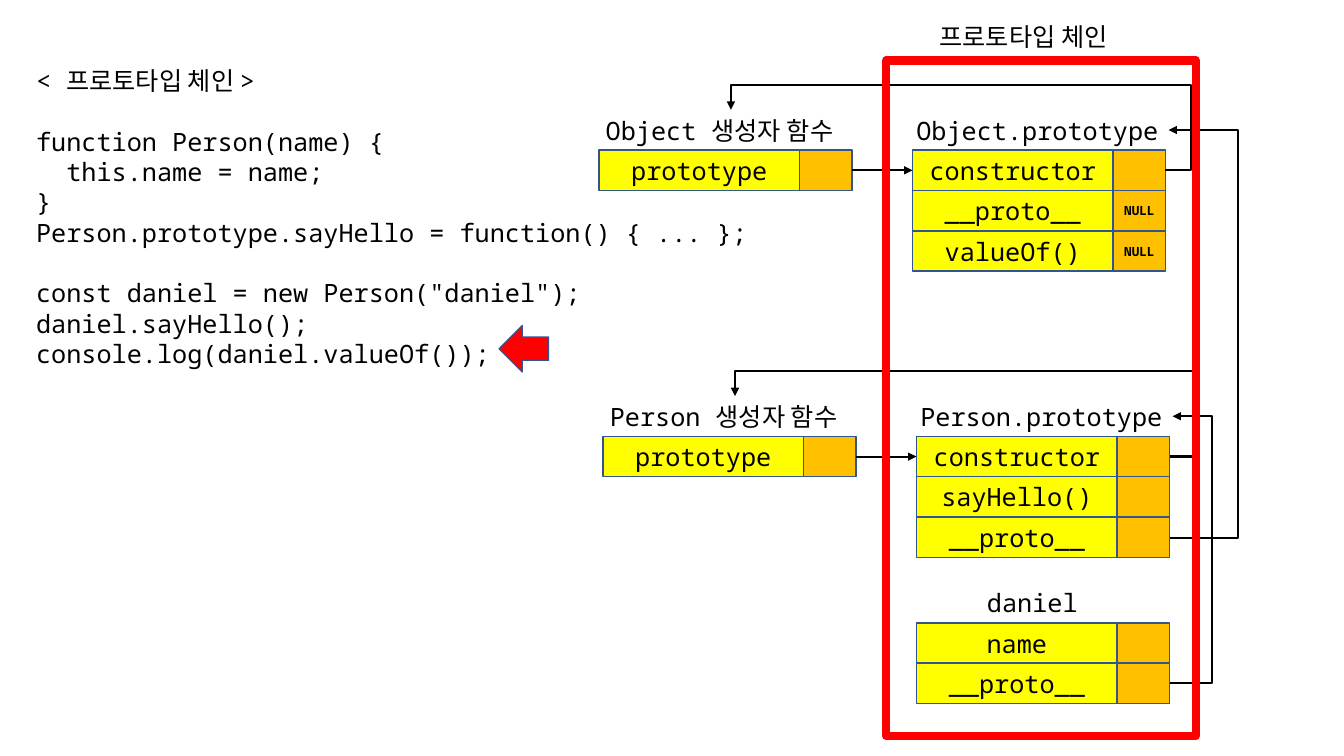
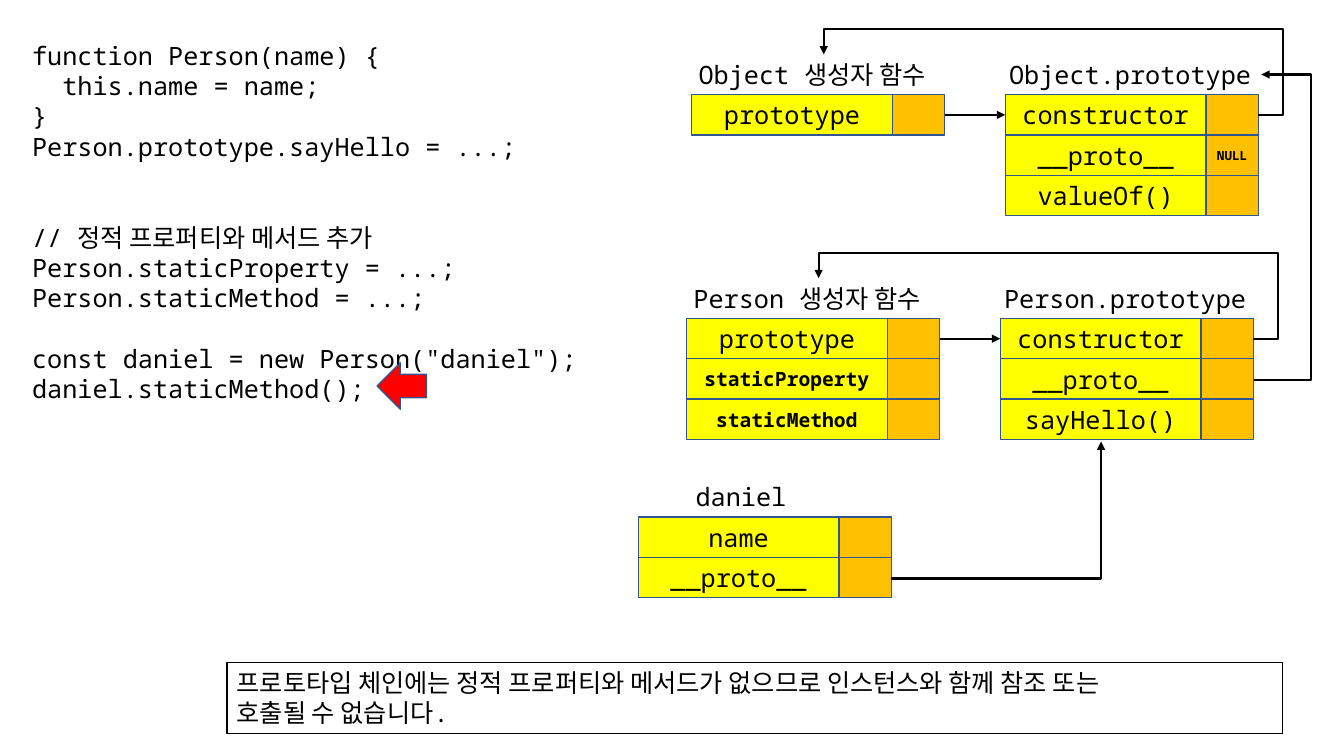
from typing import NamedTuple

from lxml.etree import SubElement
from pptx import Presentation
from pptx.dml.color import RGBColor
from pptx.enum.shapes import MSO_CONNECTOR, MSO_SHAPE
from pptx.enum.text import MSO_ANCHOR, MSO_AUTO_SIZE, PP_ALIGN
from pptx.oxml.ns import qn
from pptx.util import Inches, Pt

BLACK = RGBColor(0x00, 0x00, 0x00)
WHITE = RGBColor(0xFF, 0xFF, 0xFF)
YELLOW = RGBColor(0xFF, 0xFF, 0x00)
ORANGE = RGBColor(0xFF, 0xC0, 0x00)
RED = RGBColor(0xFF, 0x00, 0x00)
NAVY = RGBColor(0x32, 0x54, 0x91)

FONT = "Noto Sans Mono"
CODE = {"name": FONT, "size": Pt(18)}
STATIC = {"name": FONT, "size": Pt(14), "bold": True}
NULL = {"name": FONT, "size": Pt(9), "bold": True}

NAME_W, VALUE_W, ROW_H = 1.99, 0.52, 0.4
BLOCK_W = NAME_W + VALUE_W
PROTO_DX = 3.11
BLANK_LINE = 21.8

CODE_CHAIN = """< 프로토타입 체인 >

function Person(name) {
  this.name = name;
}
Person.prototype.sayHello = function() { ... };

const daniel = new Person("daniel");
daniel.sayHello();
console.log(daniel.valueOf());"""

CODE_STATIC = """function Person(name) {
  this.name = name;
}
Person.prototype.sayHello = ...;


// 정적 프로퍼티와 메서드 추가
Person.staticProperty = ...;
Person.staticMethod = ...;

const daniel = new Person("daniel");
daniel.staticMethod();"""

NOTE = """프로토타입 체인에는 정적 프로퍼티와 메서드가 없으므로 인스턴스와 함께 참조 또는
호출될 수 없습니다."""


class Row(NamedTuple):
    """One property: its name, its value and the style of the name."""
    name: str
    value: str = ""
    fmt: dict = CODE


def write(tf, text, fmt=CODE, align=PP_ALIGN.LEFT):
    """Fill a text frame line by line, turning blank lines into spacing."""
    gap, p = 0, None
    for line in text.split("\n"):
        if not line:
            gap += BLANK_LINE
            continue
        p = tf.add_paragraph() if p else tf.paragraphs[0]
        p.alignment = align
        p.space_before = Pt(gap)
        gap = 0
        r = p.add_run()
        r.text = line
        r.font.color.rgb = BLACK
        for key, value in fmt.items():
            setattr(r.font, key, value)


def text_box(s, x, y, w, h, text, wrap=False):
    """Add a left-aligned text box."""
    sp = s.shapes.add_textbox(Inches(x), Inches(y), Inches(w), Inches(h))
    tf = sp.text_frame
    tf.word_wrap = wrap
    tf.auto_size = MSO_AUTO_SIZE.SHAPE_TO_FIT_TEXT
    write(tf, text)
    return sp


def paint(sp, fill, line, width):
    """Set fill and outline of a shape."""
    if fill is None:
        sp.fill.background()
    else:
        sp.fill.solid()
        sp.fill.fore_color.rgb = fill
    sp.line.color.rgb = line
    sp.line.width = Pt(width)


def shape(s, kind, x, y, w, h, fill, line=NAVY, width=1):
    """Add a preset shape without shadow."""
    sp = s.shapes.add_shape(kind, Inches(x), Inches(y), Inches(w), Inches(h))
    sp.shadow.inherit = False
    paint(sp, fill, line, width)
    return sp


def cell(s, x, y, w, fill, text, fmt):
    """Add one cell of a property block."""
    sp = shape(s, MSO_SHAPE.RECTANGLE, x, y, w, ROW_H, fill)
    tf = sp.text_frame
    tf.vertical_anchor = MSO_ANCHOR.MIDDLE
    if text:
        write(tf, text, fmt, PP_ALIGN.CENTER)


def block(s, x, y, rows):
    """Stack property rows of a name cell and a value cell."""
    for i, row in enumerate(rows):
        top = y + i * ROW_H
        cell(s, x, top, NAME_W, YELLOW, row.name, row.fmt)
        cell(s, x + NAME_W, top, VALUE_W, ORANGE, row.value, NULL)


def arrow(s, *points):
    """Draw an arrow through two to five corner points, leaving sideways."""
    (x0, y0), (x1, y1) = points[0], points[-1]
    bends = len(points) - 2
    kind = MSO_CONNECTOR.ELBOW if bends else MSO_CONNECTOR.STRAIGHT
    c = s.shapes.add_connector(kind, Inches(x0), Inches(y0), Inches(x1), Inches(y1))
    c.line.color.rgb = BLACK
    c.line.width = Pt(1.5)
    spPr = c._element.spPr
    SubElement(spPr.find(qn("a:ln")), qn("a:tailEnd"), type="triangle")
    SubElement(spPr, qn("a:effectLst"))
    if bends:
        geom = spPr.find(qn("a:prstGeom"))
        geom.set("prst", f"bentConnector{bends + 1}")
        ratios = []
        if bends > 1:
            ratios.append((points[1][0] - x0) / (x1 - x0))
        if bends > 2:
            ratios.append((points[2][1] - y0) / (y1 - y0))
        for i, ratio in enumerate(ratios, 1):
            SubElement(geom.find(qn("a:avLst")), qn("a:gd"),
                       name=f"adj{i}", fmla=f"val {round(ratio * 100000)}")


def constructor_pair(s, x, y, name, own, proto):
    """Add a constructor function, its prototype and the arrows between them."""
    proto_x, mid = x + PROTO_DX, y + ROW_H / 2
    right, top = proto_x + BLOCK_W, y - ROW_H
    target = x + 1.31
    text_box(s, x - 0.03, top, 2.67, ROW_H, f"{name} 생성자 함수")
    text_box(s, proto_x - 0.06, top, 2.61, ROW_H, f"{name}.prototype")
    block(s, x, y, [Row("prototype"), *own])
    block(s, proto_x, y, [Row("constructor"), *proto])
    arrow(s, (x + BLOCK_W, mid), (proto_x, mid))
    arrow(s, (right, mid), (right + 0.25, mid), (right + 0.25, top - 0.25),
          (target, top - 0.25), (target, top))


def instance(s, x, y, heading_dx):
    """Add the daniel object."""
    text_box(s, x + heading_dx, y - ROW_H, 1.11, ROW_H, "daniel")
    block(s, x, y, [Row("name"), Row("__proto__")])


def proto_link(s, x, y, lane, owner_x, owner_y):
    """Link a __proto__ cell to the heading of the prototype it points at."""
    end_x, end_y = owner_x + 5.65, owner_y - ROW_H / 2
    arrow(s, (x, y), (lane, y), (lane, end_y), (end_x, end_y))


def marker(s, x, y):
    """Add the red arrow that marks a line of code."""
    shape(s, MSO_SHAPE.LEFT_ARROW, x, y, 0.49, 0.46, RED)


def chain_slide(s):
    """Build the prototype chain slide."""
    text_box(s, 0.26, 0.6, 7.29, 3.13, CODE_CHAIN)
    marker(s, 4.95, 3.23)
    constructor_pair(s, 5.98, 4.33, "Person", [],
                     [Row("sayHello()"), Row("__proto__")])
    constructor_pair(s, 5.94, 1.49, "Object", [],
                     [Row("__proto__", "NULL"), Row("valueOf()", "NULL")])
    instance(s, 9.09, 6.18, 0.6)
    proto_link(s, 11.6, 6.78, 12.02, 5.98, 4.33)
    proto_link(s, 11.6, 5.34, 12.29, 5.94, 1.49)
    shape(s, MSO_SHAPE.RECTANGLE, 8.79, 0.6, 3.07, 6.7, None, RED, 6)
    text_box(s, 9.22, 0.16, 2.12, ROW_H, "프로토타입 체인")


def static_slide(s):
    """Build the static members slide."""
    text_box(s, 0.22, 0.35, 5.63, 4.04, CODE_STATIC)
    marker(s, 3.74, 3.6)
    constructor_pair(s, 6.81, 3.16, "Person",
                     [Row("staticProperty", fmt=STATIC), Row("staticMethod", fmt=STATIC)],
                     [Row("__proto__"), Row("sayHello()")])
    constructor_pair(s, 6.86, 0.94, "Object", [],
                     [Row("__proto__", "NULL"), Row("valueOf()")])
    instance(s, 6.33, 5.13, 0.47)
    arrow(s, (8.84, 5.74), (10.92, 5.74), (10.92, 4.38))
    proto_link(s, 12.44, 3.77, 13, 6.86, 0.94)
    paint(text_box(s, 2.25, 6.57, 10.47, 0.71, NOTE, wrap=True), WHITE, BLACK, 1)


def main():
    """Create the presentation."""
    prs = Presentation()
    prs.slide_width, prs.slide_height = Inches(13.33), Inches(7.5)
    for build in (chain_slide, static_slide):
        build(prs.slides.add_slide(prs.slide_layouts[6]))
    prs.save("out.pptx")


main()
